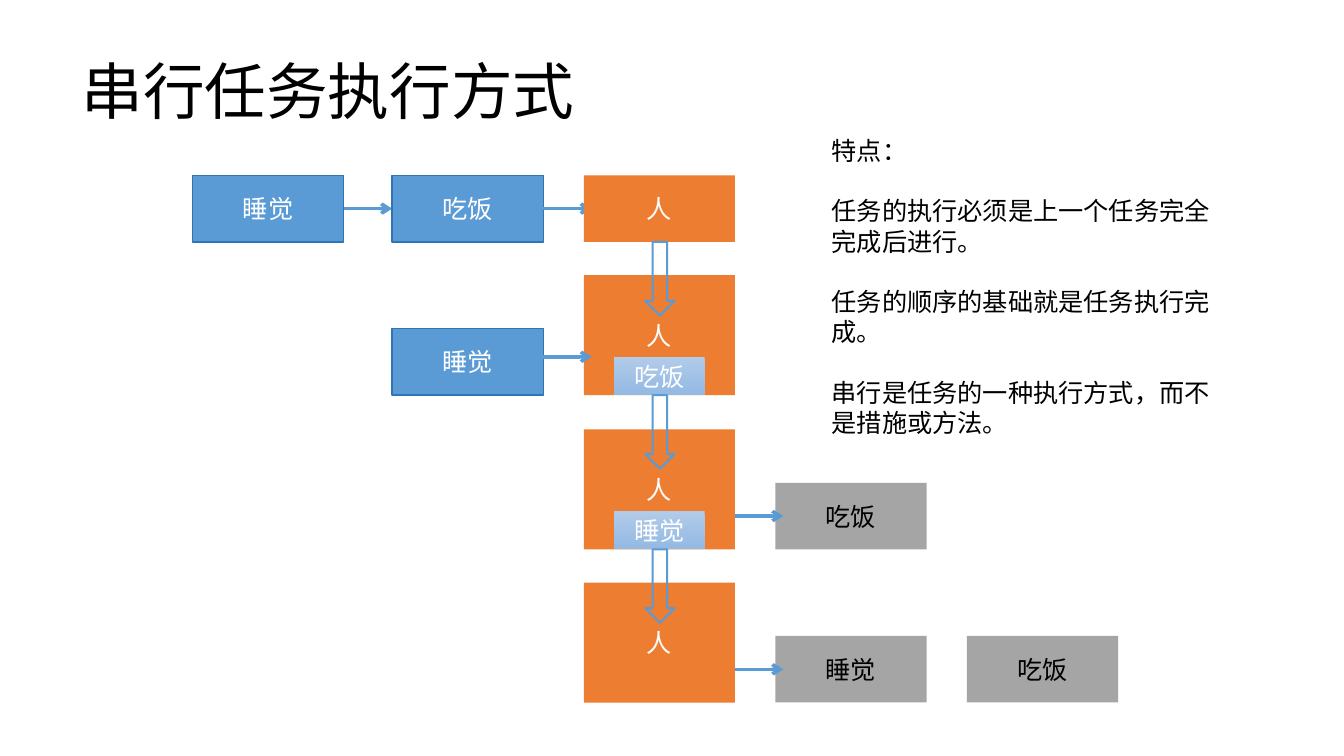
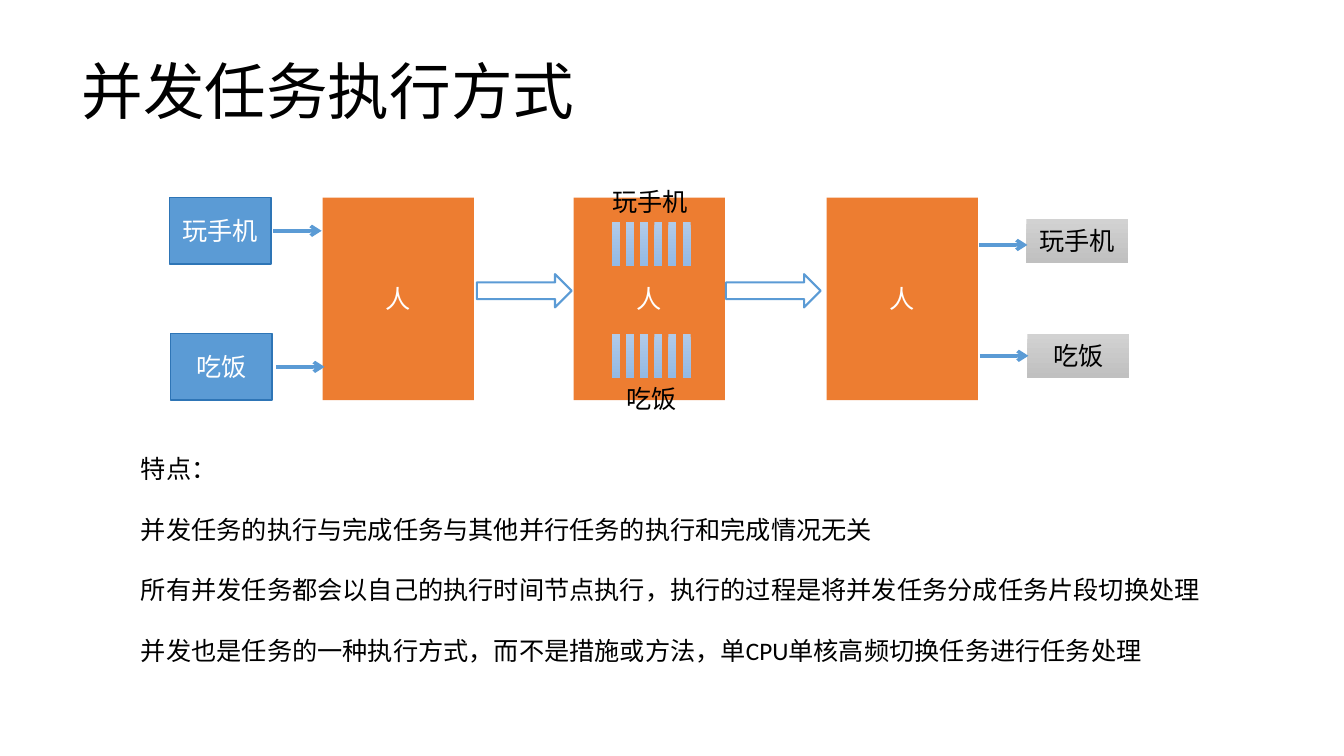
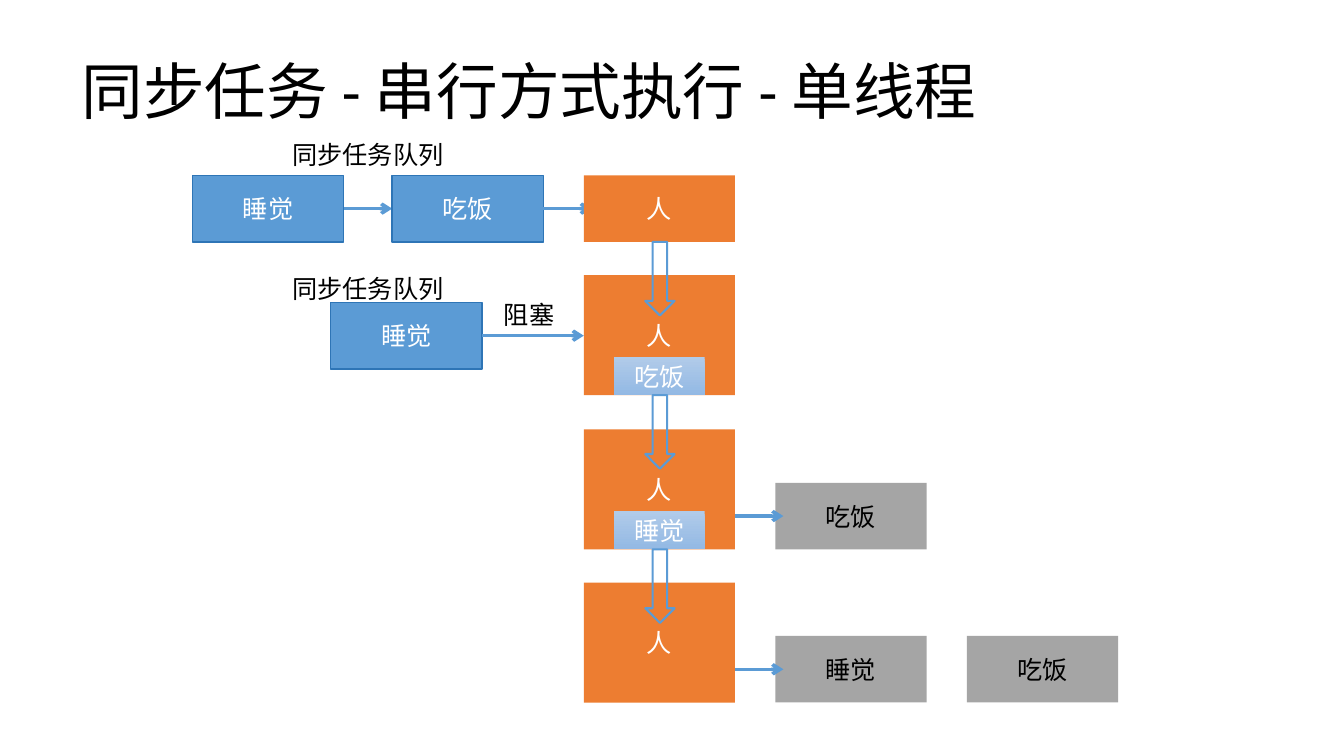
import pptx
import pptx.util
import pptx.dml.color
import pptx.enum.dml
import pptx.enum.lang
import pptx.enum.shapes
import pptx.enum.text
import pptx.oxml
import pptx.oxml.ns
from dataclasses import dataclass

Inches, Pt = pptx.util.Inches, pptx.util.Pt
Shape = pptx.enum.shapes.MSO_SHAPE
Align = pptx.enum.text.PP_ALIGN
Anchor = pptx.enum.text.MSO_ANCHOR


@dataclass(frozen=True)
class Theme:
    font: str = "Calibri"
    head: int = 44
    body: int = 18
    gap: float = 21.7
    ink: str = "000000"
    white: str = "FFFFFF"
    blue: str = "5B9BD5"
    edge: str = "2E75B6"
    orange: str = "ED7D31"
    gray: str = "A5A5A5"
    pale: tuple = ("B1CBE9", "93B9E4")
    silver: tuple = ("D2D2D2", "C0C0C0")


theme = Theme()

# Content
SLEEP, EAT, PHONE, MAN = "睡觉", "吃饭", "玩手机", "人"
QUEUE, BLOCK = "同步任务队列", "阻塞"
SERIAL = "串行任务执行方式"
MIXED = "并发任务执行方式"
SYNC = "同步任务 - 串行方式执行 - 单线程"
SERIAL_NOTES = [
    "特点：",
    "任务的执行必须是上一个任务完全完成后进行。",
    "任务的顺序的基础就是任务执行完成。",
    "串行是任务的一种执行方式，而不是措施或方法。",
]
MIXED_NOTES = [
    "特点：",
    "并发任务的执行与完成任务与其他并行任务的执行和完成情况无关",
    "所有并发任务都会以自己的执行时间节点执行，执行的过程是将并发任务分成任务片段切换处理",
    "并发也是任务的一种执行方式，而不是措施或方法，单CPU单核高频切换任务进行任务处理",
]
# Each stage: top, running job, finished jobs
STAGES = [(2.73, EAT, []), (4.26, SLEEP, [EAT]), (5.78, None, [SLEEP, EAT])]

# Serial layout
WIDE, LOW, TALL = 1.5, 0.66, 1.19
TOP, MAN_X, STEP, HOP = 1.74, 5.79, 1.9, 0.48
QUEUE_X = [(1.91, SLEEP), (3.89, EAT)]

# Concurrent layout
MEN_X, MEN_Y, MEN_H = (3.2, 5.69, 8.2), 1.96, 2.01
BAR_X, BAR_STEP, BARS = 6.07, 0.14, 6
# Each task: name, box at, link in, bar top, label at, done at, link out
TASKS = [
    (PHONE, (1.68, 1.96), (2.71, 2.29), 2.2, (5.8, 1.8), (10.18, 2.17), (9.71, 2.43)),
    (EAT, (1.69, 3.31), (2.74, 3.64), 3.31, (5.82, 3.75), (10.19, 3.31), (9.72, 3.53)),
]

deck = pptx.Presentation()
deck.slide_width, deck.slide_height = Inches(13.33), Inches(7.5)


def tint(hue):
    return pptx.dml.color.RGBColor.from_string(hue)


def write(frame, text, size=theme.body, hue=theme.ink, align=Align.LEFT,
          anchor=Anchor.TOP, gap=0, lead=None):
    frame.word_wrap = True
    frame.vertical_anchor = anchor
    lines = [text] if isinstance(text, str) else text
    for i, line in enumerate(lines):
        para = frame.add_paragraph() if i else frame.paragraphs[0]
        para.alignment = align
        para.line_spacing = lead
        para.space_before = Pt(gap if i else 0)
        run = para.add_run()
        run.text = line
        run.font.name, run.font.size = theme.font, Pt(size)
        run.font.color.rgb = tint(hue)
        run.font.language_id = pptx.enum.lang.MSO_LANGUAGE_ID.SIMPLIFIED_CHINESE


def label(slide, text, x, y, w, h=0.4, **style):
    box = slide.shapes.add_textbox(Inches(x), Inches(y), Inches(w), Inches(h))
    write(box.text_frame, text, **style)


def block(slide, x, y, w, h, fill=None, text=None, hue=theme.white,
          edge=None, weight=1, kind=Shape.RECTANGLE):
    shape = slide.shapes.add_shape(kind, Inches(x), Inches(y), Inches(w), Inches(h))
    shape.shadow.inherit = False
    if fill is None:
        shape.fill.background()
    elif isinstance(fill, tuple):
        shape.fill.gradient()
        shape.fill.gradient_angle = 270
        for stop, tone in zip(shape.fill.gradient_stops, fill):
            stop.color.rgb = tint(tone)
    else:
        shape.fill.solid()
        shape.fill.fore_color.rgb = tint(fill)
    if edge:
        shape.line.color.rgb = tint(edge)
        shape.line.width = Pt(weight)
    else:
        shape.line.fill.background()
    if text:
        write(shape.text_frame, text, hue=hue, align=Align.CENTER, anchor=Anchor.MIDDLE)


def task(slide, text, x, y, w=WIDE):
    block(slide, x, y, w, LOW, theme.blue, text, edge=theme.edge)


def arrow(slide, kind, x, y, w, h):
    block(slide, x, y, w, h, edge=theme.blue, weight=1.5, kind=kind)


def link(slide, x, y, w=HOP):
    line = slide.shapes.add_connector(
        pptx.enum.shapes.MSO_CONNECTOR.STRAIGHT,
        Inches(x), Inches(y), Inches(x + w), Inches(y))
    line.line.color.rgb = tint(theme.blue)
    line.line.width = Pt(2.5)
    space = pptx.oxml.ns.nsdecls("a")
    tip = pptx.oxml.parse_xml(f'<a:tailEnd {space} type="arrow"/>')
    line.line._get_or_add_ln().append(tip)
    line._element.spPr.append(pptx.oxml.parse_xml(f"<a:effectLst {space}/>"))


def page(title):
    slide = deck.slides.add_slide(deck.slide_layouts[6])
    label(slide, title, 0.71, 0.28, 11.5, 1.32, size=theme.head,
          anchor=Anchor.MIDDLE, lead=0.9)
    return slide


def flow(slide, wait_x, wait_y, link_y, reach):
    # Queue and first person
    for x, name in QUEUE_X:
        task(slide, name, x, TOP)
        link(slide, x + WIDE, TOP + LOW / 2)
    block(slide, MAN_X, TOP, WIDE, LOW, theme.orange, MAN)
    # Later stages
    for top, job, done in STAGES:
        block(slide, MAN_X, top, WIDE, TALL, theme.orange, MAN)
        if job:
            block(slide, MAN_X + 0.3, top + 0.81, 0.9, 0.38, theme.pale, job)
        for i, name in enumerate(done, 1):
            block(slide, MAN_X + STEP * i, top + TALL - LOW, WIDE, LOW,
                  theme.gray, name, hue=theme.ink)
        if done:
            link(slide, MAN_X + WIDE, top + TALL - LOW / 2)
    # Waiting task
    task(slide, SLEEP, wait_x, wait_y)
    link(slide, wait_x + WIDE, link_y, reach)
    # Passage of time
    ends = [TOP + LOW] + [top + TALL for top, _, _ in STAGES[:-1]]
    for end in ends:
        arrow(slide, Shape.DOWN_ARROW, 6.4, end, 0.29, 0.73)


# Serial tasks
serial = page(SERIAL)
flow(serial, 3.89, 3.26, 3.54, HOP)
label(serial, SERIAL_NOTES, 8.15, 1.29, 4, 3.13, gap=theme.gap)

# Concurrent tasks
mixed = page(MIXED)
for x in MEN_X:
    block(mixed, x, MEN_Y, WIDE, MEN_H, theme.orange, MAN)
for x in (4.73, 7.2):
    arrow(mixed, Shape.RIGHT_ARROW, x, 2.72, 0.94, 0.33)
for name, box, start, bar_y, tag, done, leave in TASKS:
    task(mixed, name, *box, w=1.01)
    block(mixed, *done, 1.01, 0.44, theme.silver, name, hue=theme.ink)
    link(mixed, *start)
    link(mixed, *leave)
    label(mixed, name, *tag, 1.29, align=Align.CENTER)
    for i in range(BARS):
        block(mixed, BAR_X + BAR_STEP * i, bar_y, 0.08, 0.44, theme.pale)
label(mixed, MIXED_NOTES, 1.3, 4.45, 10.91, 2.52, gap=theme.gap)

# Synchronous tasks
sync = page(SYNC)
flow(sync, 3.28, 3, 3.33, 1.01)
label(sync, BLOCK, 4.9, 2.92, 0.9)
for y in (1.33, 2.66):
    label(sync, QUEUE, 2.8, y, 2.59)

deck.save("out.pptx")
